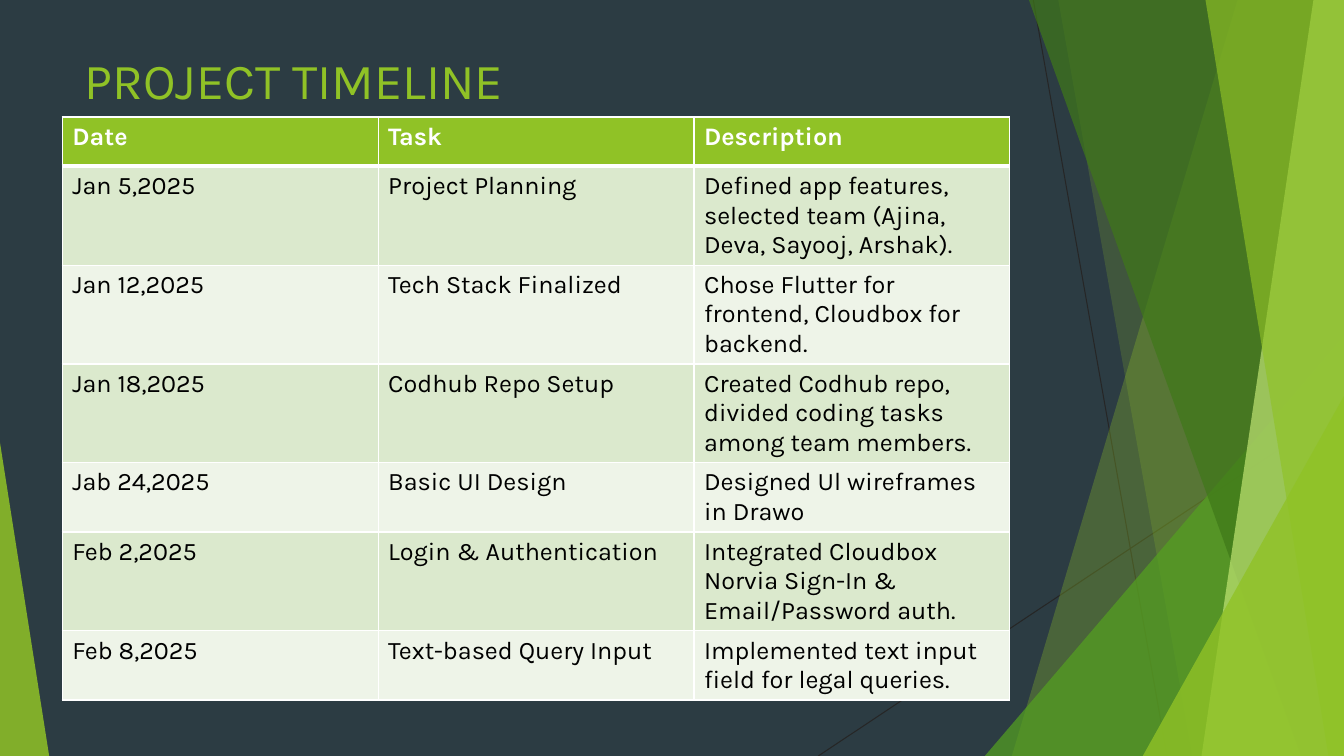
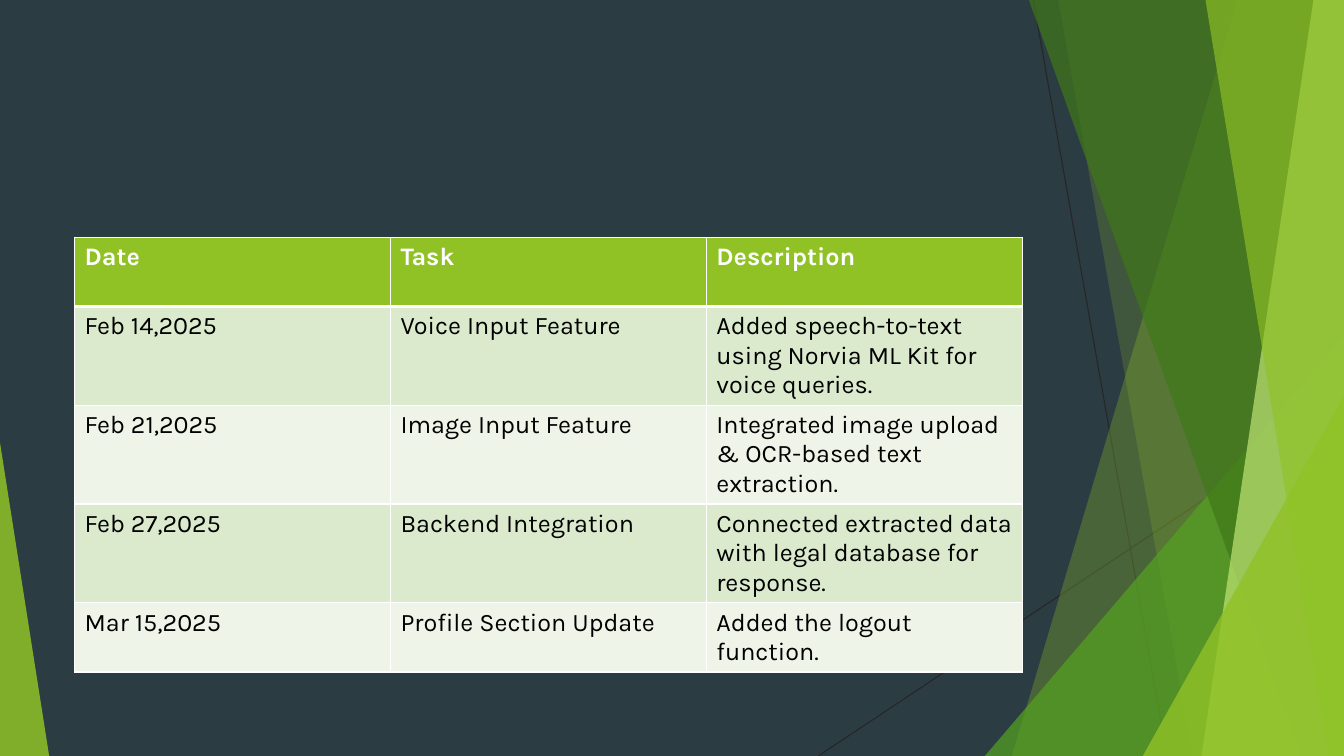
"""Build two project timeline slides on a dark ground with green facets."""
from math import ceil

from lxml.etree import SubElement
from pptx import Presentation
from pptx.dml.color import RGBColor
from pptx.enum.shapes import MSO_CONNECTOR, MSO_SHAPE
from pptx.enum.text import MSO_ANCHOR, MSO_AUTO_SIZE, PP_ALIGN
from pptx.oxml.ns import qn
from pptx.util import Cm, Pt

HUES = {
    "ground": "2C3C43", "lime": "90C226", "green": "54A021", "forest": "3F7819",
    "pale": "C0E474", "thread": "262626", "white": "FFFFFF", "black": "000000",
    "odd": "DBE9CD", "even": "EEF4E8",
}
WIDE, HIGH = 33.87, 19.05


def write(frame, text, size=18, hue="black", bold=False):
    para = frame.paragraphs[0]
    para.alignment = PP_ALIGN.LEFT
    run = para.add_run()
    run.text = text
    run.font.name = "Karla"
    run.font.size = Pt(size)
    run.font.bold = bold
    run.font.color.rgb = RGBColor.from_string(HUES[hue])


def paint(fill, hue, alpha=100):
    fill.solid()
    fill.fore_color.rgb = RGBColor.from_string(HUES[hue])
    if alpha < 100:
        tone = fill._xPr.find(qn("a:solidFill"))[0]
        SubElement(tone, qn("a:alpha"), val=str(alpha * 1000))


deck = Presentation()
deck.slide_width, deck.slide_height = Cm(WIDE), Cm(HIGH)
paint(deck.slide_master.background.fill, "ground")

layout = deck.slide_layouts[5]
head = layout.placeholders[0]
head.left, head.top, head.width, head.height = Cm(1.88), Cm(1.12), Cm(23.88), Cm(4.24)
first = deck.slides.add_slide(layout)
second = deck.slides.add_slide(layout)

decor = []
threads = [(26.04, 0, 29.41, HIGH), (WIDE, 10.24, 20.62, HIGH)]
for ends in threads:
    thread = first.shapes.add_connector(MSO_CONNECTOR.STRAIGHT, *map(Cm, ends))
    thread.line.width = Pt(0.75)
    thread.line.color.rgb = RGBColor.from_string(HUES["thread"])
    SubElement(thread._element.spPr, qn("a:effectLst"))
    decor.append(thread)

facets = [
    ("band", 31.19, 25.5, "lime", 30),
    ("band", 26.67, 30.05, "lime", 20),
    ("right", 24.82, 8.46, "green", 72),
    ("band", 25.93, 32.79, "forest", 70),
    ("band", 33.1, 30.28, "pale", 70),
    ("band", 30.38, 33.48, "lime", 65),
    ("right", 28.8, 9.98, "lime", 80),
    ("left", 1.24, 11.15, "lime", 85),
]
for kind, edge, end, hue, alpha in facets:
    if kind == "band":
        path = first.shapes.build_freeform(Cm(edge), 0)
        path.add_line_segments([
            (Cm(WIDE), 0), (Cm(WIDE), Cm(HIGH)), (Cm(end), Cm(HIGH))])
        facet = path.convert_to_shape()
    else:
        left, width = (edge, WIDE - edge) if kind == "right" else (0, edge)
        facet = first.shapes.add_shape(
            MSO_SHAPE.ISOSCELES_TRIANGLE, Cm(left), Cm(end), Cm(width), Cm(HIGH - end))
        facet.adjustments[0] = 1 if kind == "right" else 0
    paint(facet.fill, hue, alpha)
    facet.line.fill.background()
    facet.shadow.inherit = False
    decor.append(facet)

for spot, shape in enumerate(decor):
    shape._element._nvXxPr.cNvPr.set("id", str(100 + spot))
    layout.shapes._spTree.insert(2 + spot, shape._element)

title = first.shapes.title
write(title.text_frame, "PROJECT TIMELINE", size=36, hue="lime")
title.text_frame.vertical_anchor = MSO_ANCHOR.TOP
title.text_frame.auto_size = MSO_AUTO_SIZE.NONE
blank = second.shapes.title._element
blank.getparent().remove(blank)

labels = ("Date", "Task", "Description")
early = [
    ("Jan 5,2025", "Project Planning",
     "Defined app features, selected team (Ajina, Deva, Sayooj, Arshak)."),
    ("Jan 12,2025", "Tech Stack Finalized",
     "Chose Flutter for frontend, Cloudbox for backend."),
    ("Jan 18,2025", "Codhub Repo Setup",
     "Created Codhub repo, divided coding tasks among team members."),
    ("Jab 24,2025", "Basic UI Design", "Designed Ul wireframes in Drawo"),
    ("Feb 2,2025", "Login & Authentication",
     "Integrated Cloudbox Norvia Sign-In & Email/Password auth."),
    ("Feb 8,2025", "Text-based Query Input",
     "Implemented text input field for legal queries."),
]
late = [
    ("Feb 14,2025", "Voice Input Feature",
     "Added speech-to-text using Norvia ML Kit for voice queries."),
    ("Feb 21,2025", "Image Input Feature",
     "Integrated image upload & OCR-based text extraction."),
    ("Feb 27,2025", "Backend Integration",
     "Connected extracted data with legal database for response."),
    ("Mar 15,2025", "Profile Section Update", "Added the logout function."),
]
plans = [(first, early, 1.57, 2.95, 1.24), (second, late, 1.88, 5.99, 1.73)]

for slide, tasks, left, top, tall in plans:
    rows = [labels] + tasks
    grid = slide.shapes.add_table(
        len(rows), 3, Cm(left), Cm(top), Cm(23.88), Cm(tall * len(rows))).table
    for col in grid.columns:
        col.width = Cm(7.96)
    for r, row in enumerate(rows):
        lines = ceil(len(row[2]) / 24)
        grid.rows[r].height = Cm(0.24 + 0.75 * lines if r else tall)
        for c, text in enumerate(row):
            cell = grid.cell(r, c)
            for side in "LRTB":
                thick = (r, side) in ((0, "B"), (1, "T"))
                rule = SubElement(cell._tc.get_or_add_tcPr(), qn("a:ln" + side),
                                  w=str(Pt(3 if thick else 1)))
                SubElement(SubElement(rule, qn("a:solidFill")), qn("a:srgbClr"),
                           val=HUES["white"])
            if r == 0:
                paint(cell.fill, "lime")
                write(cell.text_frame, text, hue="white", bold=True)
            else:
                paint(cell.fill, "odd" if r % 2 else "even")
                write(cell.text_frame, text)

deck.save("out.pptx")
